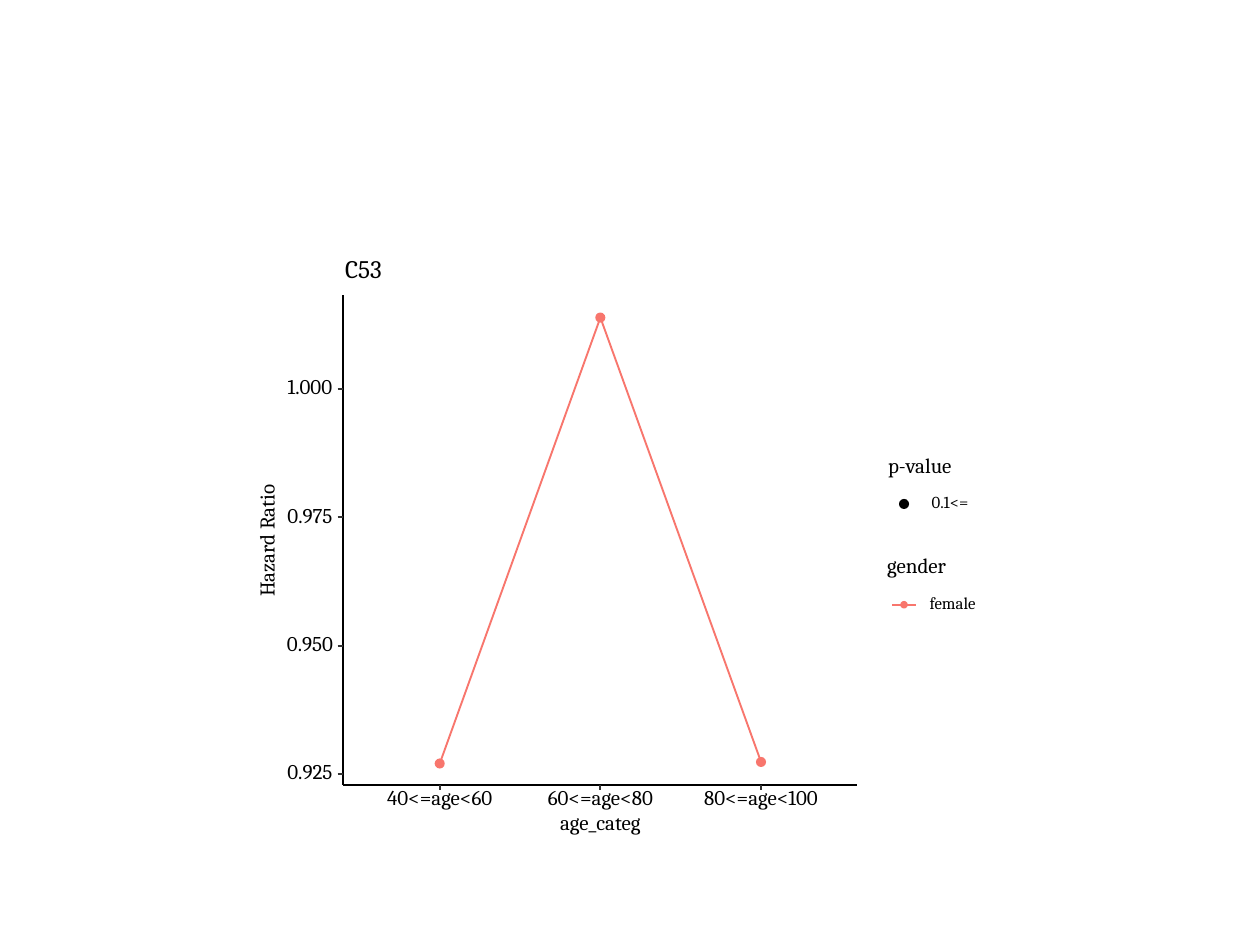
from dataclasses import dataclass

from lxml.etree import SubElement
from pptx import Presentation
from pptx.dml.color import RGBColor
from pptx.enum.shapes import MSO_CONNECTOR, MSO_SHAPE
from pptx.enum.text import MSO_ANCHOR, PP_ALIGN
from pptx.oxml.ns import qn
from pptx.util import Inches, Pt

FONT = "Cambria"
COLORS = {
    "text": "000000", "axis": "000000", "tick": "333333",
    "panel": "FFFFFF", "female": "F8766D", "p_value": "000000",
}
LEFT, TOP, RIGHT, BOTTOM = 2.72, 2.34, 6.8, 6.23
FIRST_CATEGORY, CATEGORY_STEP = 3.49, 1.275
ONE_LEVEL, RATIO_SCALE = 3.09, 40.68
TICK = 0.04
DOT = 0.07
LABEL_SLACK = 0.04
KEY_CENTER = 7.175


@dataclass
class Category:
    name: str
    ratio: float
    label_width: float


@dataclass
class LegendGroup:
    heading: str
    heading_width: float
    label: str
    label_width: float
    top: float
    width: float
    dot_size: float
    color: str
    has_line: bool


CATEGORIES = [
    Category("40<=age<60", 0.927, 0.85),
    Category("60<=age<80", 1.014, 0.85),
    Category("80<=age<100", 0.9273, 0.93),
]
RATIO_TICKS = [0.925, 0.95, 0.975, 1.0]
LEGEND = [
    LegendGroup("p-value", 0.5, "0.1<=", 0.32, 3.57, 0.81, DOT, "p_value", False),
    LegendGroup("gender", 0.45, "female", 0.36, 4.37, 0.85, 0.05, "female", True),
]


def color(name: str) -> RGBColor:
    return RGBColor.from_string(COLORS[name])


def category_x(index: int) -> float:
    return FIRST_CATEGORY + index * CATEGORY_STEP


def ratio_y(ratio: float) -> float:
    return ONE_LEVEL + (1 - ratio) * RATIO_SCALE


def add_panel(page, left: float, top: float, width: float, height: float) -> None:
    panel = page.shapes.add_shape(
        MSO_SHAPE.RECTANGLE, Inches(left), Inches(top), Inches(width), Inches(height))
    panel.shadow.inherit = False
    panel.fill.solid()
    panel.fill.fore_color.rgb = color("panel")
    panel.line.fill.background()


def add_line(page, start: tuple[float, float], end: tuple[float, float],
             name: str, width: float = 1.07) -> None:
    line = page.shapes.add_connector(
        MSO_CONNECTOR.STRAIGHT, *(Inches(value) for value in start + end))
    line.line.color.rgb = color(name)
    line.line.width = Pt(width)
    SubElement(line._element.spPr, qn("a:effectLst"))


def add_dot(page, x: float, y: float, size: float, name: str) -> None:
    dot = page.shapes.add_shape(
        MSO_SHAPE.OVAL, Inches(x - size / 2), Inches(y - size / 2), Inches(size), Inches(size))
    dot.shadow.inherit = False
    dot.fill.solid()
    dot.fill.fore_color.rgb = color(name)
    dot.line.color.rgb = color(name)
    dot.line.width = Pt(0.71)


def add_label(page, text: str, left: float, top: float, width: float, height: float,
              size: float = 12, rotation: int = 0) -> None:
    box = page.shapes.add_textbox(
        Inches(left - LABEL_SLACK / 2), Inches(top),
        Inches(width + LABEL_SLACK), Inches(height))
    box.rotation = rotation
    frame = box.text_frame
    frame.text = text
    frame.word_wrap = False
    frame.vertical_anchor = MSO_ANCHOR.MIDDLE
    frame.margin_left = frame.margin_right = frame.margin_top = frame.margin_bottom = 0
    paragraph = frame.paragraphs[0]
    paragraph.alignment = PP_ALIGN.CENTER
    paragraph.line_spacing = Pt(size)
    font = paragraph.runs[0].font
    font.name, font.size = FONT, Pt(size)
    font.color.rgb = color("text")


def add_ratio_line(page) -> None:
    points = [(category_x(index), ratio_y(category.ratio))
              for index, category in enumerate(CATEGORIES)]
    corners = [(Inches(x), Inches(y)) for x, y in points]
    builder = page.shapes.build_freeform(*corners[0])
    builder.add_line_segments(corners[1:], close=False)
    line = builder.convert_to_shape()
    line.shadow.inherit = False
    line.fill.background()
    line.line.color.rgb = color("female")
    line.line.width = Pt(1.07)
    for x, y in points:
        add_dot(page, x, y, DOT, "female")


def add_axes(page) -> None:
    add_line(page, (LEFT, BOTTOM), (LEFT, TOP), "axis")
    for ratio in RATIO_TICKS:
        y = ratio_y(ratio)
        add_label(page, f"{ratio:.3f}", 2.27, y - 0.06, 0.38, 0.11)
        add_line(page, (LEFT - TICK, y), (LEFT, y), "tick", 1.16)
    add_line(page, (LEFT, BOTTOM), (RIGHT, BOTTOM), "axis")
    for index, category in enumerate(CATEGORIES):
        x = category_x(index)
        add_line(page, (x, BOTTOM + TICK), (x, BOTTOM), "tick", 1.16)
        add_label(page, category.name, x - category.label_width / 2, 6.27,
                  category.label_width, 0.15)
    add_label(page, "age_categ", 4.43, 6.47, 0.67, 0.14)
    add_label(page, "Hazard Ratio", 1.69, 4.23, 0.88, 0.12, rotation=270)


def add_legend_group(page, group: LegendGroup) -> None:
    key_y = group.top + 0.43
    add_panel(page, 6.97, group.top, group.width, 0.64)
    add_label(page, group.heading, 7.05, group.top + 0.06, group.heading_width, 0.15)
    if group.has_line:
        add_line(page, (7.08, key_y), (7.27, key_y), group.color)
    add_dot(page, KEY_CENTER, key_y, group.dot_size, group.color)
    add_label(page, group.label, 7.38, key_y - 0.05, group.label_width, 0.09, 9.6)


def main() -> None:
    deck = Presentation()
    deck.slide_width, deck.slide_height = Inches(10), Inches(7.5)
    page = deck.slides.add_slide(deck.slide_layouts[6])
    add_panel(page, 2, 2, 5.91, 4.72)
    add_panel(page, LEFT, TOP, RIGHT - LEFT, BOTTOM - TOP)
    add_ratio_line(page)
    add_axes(page)
    for group in LEGEND:
        add_legend_group(page, group)
    add_label(page, "C53", LEFT, 2.08, 0.33, 0.14, 14.4)
    deck.save("out.pptx")


if __name__ == "__main__":
    main()
